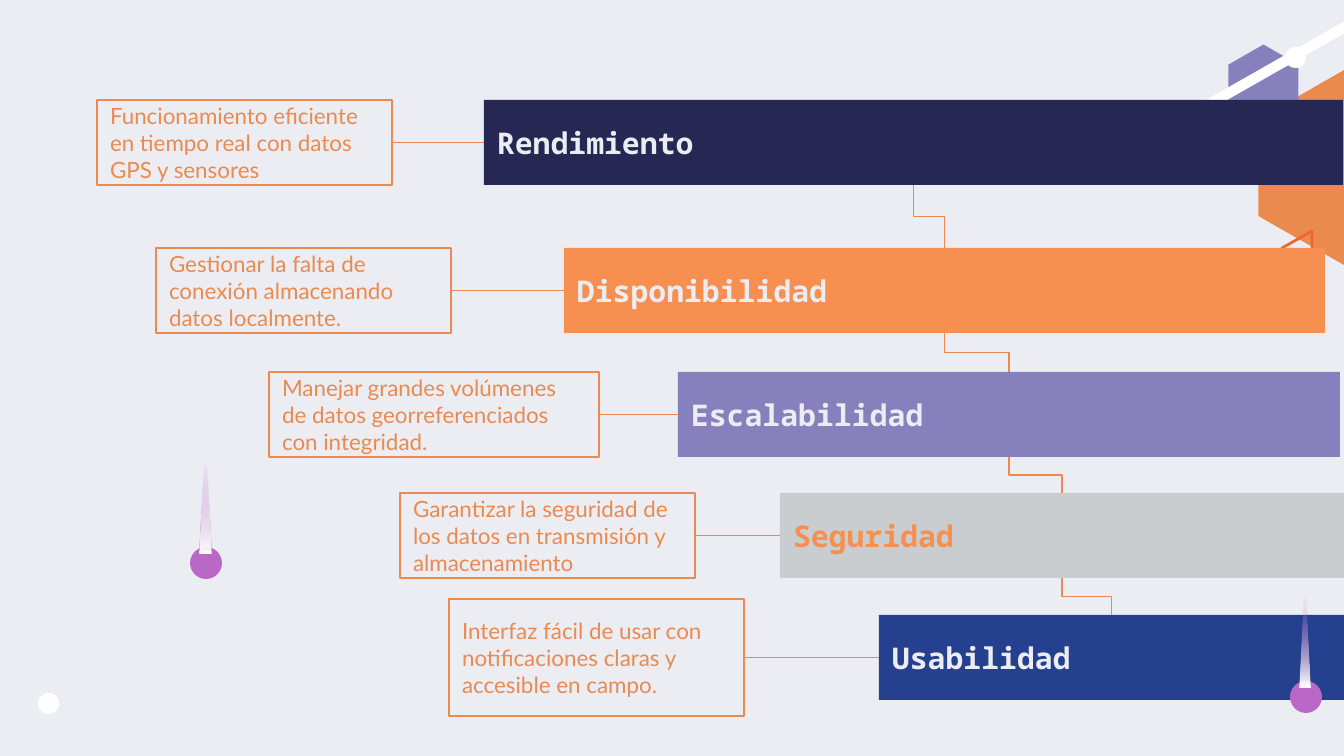
from dataclasses import dataclass
from itertools import pairwise

from lxml.etree import SubElement
from pptx import Presentation
from pptx.dml.color import RGBColor
from pptx.enum.shapes import MSO_CONNECTOR, MSO_SHAPE
from pptx.enum.text import MSO_ANCHOR, PP_ALIGN
from pptx.oxml.ns import qn
from pptx.shapes.autoshape import Shape
from pptx.shapes.connector import Connector
from pptx.slide import Slide
from pptx.util import Emu, Pt

EMU_PER_PX = 914400 / 134.4


def px(length: float) -> Emu:
    return Emu(round(length * EMU_PER_PX))


@dataclass(frozen=True)
class Theme:
    background: str = "ECEDF3"
    white: str = "FFFFFF"
    navy: str = "272753"
    orange: str = "F68F4F"
    soft_orange: str = "EA8A4F"
    deep_orange: str = "F1662D"
    purple: str = "8680BC"
    gray: str = "CACDCF"
    blue: str = "25408F"
    violet: str = "BA68C8"
    title_font: str = "Noto Sans Mono"
    note_font: str = "Lato"
    title_size: int = 16
    note_size: int = 12
    thin_line: float = 0.75
    thick_line: float = 1.5


THEME = Theme()


@dataclass(frozen=True)
class Box:
    left: int
    top: int
    width: int
    height: int

    @property
    def right(self) -> int:
        return self.left + self.width

    @property
    def bottom(self) -> int:
        return self.top + self.height

    @property
    def center_x(self) -> float:
        return self.left + self.width / 2

    @property
    def center_y(self) -> float:
        return self.top + self.height / 2


@dataclass(frozen=True)
class Requirement:
    title: str
    note: str
    bar: Box
    note_box: Box
    fill: str
    title_color: str = THEME.background


REQUIREMENTS = [
    Requirement("Rendimiento",
                "Funcionamiento eficiente en tiempo real con datos GPS y sensores",
                Box(484, 100, 859, 85), Box(97, 100, 295, 85), THEME.navy),
    Requirement("Disponibilidad",
                "Gestionar la falta de conexión almacenando datos localmente.",
                Box(564, 248, 761, 85), Box(156, 248, 295, 85), THEME.orange),
    Requirement("Escalabilidad",
                "Manejar grandes volúmenes de datos georreferenciados con integridad.",
                Box(678, 372, 662, 85), Box(269, 372, 330, 85), THEME.purple),
    Requirement("Seguridad",
                "Garantizar la seguridad de los datos en transmisión y almacenamiento",
                Box(780, 493, 564, 85), Box(400, 493, 295, 85), THEME.gray, THEME.orange),
    Requirement("Usabilidad",
                "Interfaz fácil de usar con notificaciones claras y accesible en campo.",
                Box(879, 615, 465, 85), Box(449, 599, 295, 117), THEME.blue),
]


def style_shape(shape: Shape, fill: str | None, line: str | None = None,
                line_width: float = THEME.thin_line) -> None:
    shape.shadow.inherit = False
    if fill:
        shape.fill.solid()
        shape.fill.fore_color.rgb = RGBColor.from_string(fill)
    else:
        shape.fill.background()
    if line:
        shape.line.color.rgb = RGBColor.from_string(line)
        shape.line.width = Pt(line_width)
    else:
        shape.line.fill.background()


def add_shape(slide: Slide, kind: MSO_SHAPE, box: Box, fill: str | None,
              line: str | None = None) -> Shape:
    shape = slide.shapes.add_shape(kind, px(box.left), px(box.top),
                                   px(box.width), px(box.height))
    style_shape(shape, fill, line)
    return shape


def add_polygon(slide: Slide, points: list[tuple[int, int]], fill: str | None,
                line: str | None = None) -> None:
    builder = slide.shapes.build_freeform(*points[0], scale=EMU_PER_PX)
    builder.add_line_segments(points[1:], close=True)
    style_shape(builder.convert_to_shape(), fill, line, THEME.thick_line)


def add_hexagon(slide: Slide, box: Box, fill: str) -> None:
    hexagon = add_shape(slide, MSO_SHAPE.HEXAGON, box, fill)
    hexagon.adjustments[0] = 0.286
    hexagon.rotation = 270


def write_text(shape: Shape, text: str, font_name: str, size: int, color: str,
               bold: bool = False) -> None:
    frame = shape.text_frame
    frame.word_wrap = True
    frame.vertical_anchor = MSO_ANCHOR.MIDDLE
    frame.margin_left = frame.margin_right = px(13)
    frame.margin_top = frame.margin_bottom = px(13)
    paragraph = frame.paragraphs[0]
    paragraph.alignment = PP_ALIGN.LEFT
    run = paragraph.add_run()
    run.text = text
    run.font.name = font_name
    run.font.size = Pt(size)
    run.font.bold = bold
    run.font.color.rgb = RGBColor.from_string(color)


def add_connector(slide: Slide, kind: MSO_CONNECTOR, start: tuple[float, float],
                  end: tuple[float, float]) -> Connector:
    connector = slide.shapes.add_connector(kind, px(start[0]), px(start[1]),
                                           px(end[0]), px(end[1]))
    connector.line.color.rgb = RGBColor.from_string(THEME.soft_orange)
    connector.line.width = Pt(THEME.thin_line)
    SubElement(connector._element.spPr, qn("a:effectLst"))
    return connector


def add_step(slide: Slide, upper: Box, lower: Box) -> None:
    """Join two bars with an elbow that leaves downwards: a quarter-turned connector."""
    middle_x = (upper.center_x + lower.center_x) / 2
    middle_y = (upper.bottom + lower.top) / 2
    half_run = (lower.center_x - upper.center_x) / 2
    half_drop = (lower.top - upper.bottom) / 2
    step = add_connector(slide, MSO_CONNECTOR.ELBOW,
                         (middle_x + half_drop, middle_y - half_run),
                         (middle_x - half_drop, middle_y + half_run))
    step._element.spPr.find(qn("a:xfrm")).set("rot", "16200000")


def add_pin(slide: Slide, left: int, top: int) -> None:
    """Draw a round head with a beam that fades upwards."""
    add_shape(slide, MSO_SHAPE.OVAL, Box(left, top, 32, 32), THEME.violet)
    beam = add_shape(slide, MSO_SHAPE.ISOSCELES_TRIANGLE,
                     Box(left + 10, top - 110, 11, 117), THEME.white)
    beam.fill.gradient()
    gradient = beam._element.spPr.find(qn("a:gradFill"))
    for child in list(gradient):
        gradient.remove(child)
    stops = SubElement(gradient, qn("a:gsLst"))
    for position, color, alpha in ((0, THEME.white, 100), (80, THEME.violet, 0),
                                   (100, THEME.violet, 0)):
        stop = SubElement(stops, qn("a:gs"), pos=str(position * 1000))
        stop_color = SubElement(stop, qn("a:srgbClr"), val=color)
        SubElement(stop_color, qn("a:alpha"), val=str(alpha * 1000))
    SubElement(gradient, qn("a:lin"), ang="16200000", scaled="0")


def main() -> None:
    presentation = Presentation()
    presentation.slide_width, presentation.slide_height = px(1344), px(756)
    slide = presentation.slides.add_slide(presentation.slide_layouts[6])
    slide.background.fill.solid()
    slide.background.fill.fore_color.rgb = RGBColor.from_string(THEME.background)

    add_hexagon(slide, Box(1247, 81, 196, 173), THEME.soft_orange)
    add_polygon(slide, [(1312, 231), (1282, 248), (1312, 265)], None, THEME.deep_orange)
    add_hexagon(slide, Box(1195, 78, 137, 70), THEME.purple)
    add_polygon(slide, [(1192, 108), (1403, -12), (1403, 0), (1192, 120)], THEME.white)

    for item in REQUIREMENTS:
        bar = add_shape(slide, MSO_SHAPE.RECTANGLE, item.bar, item.fill)
        write_text(bar, item.title, THEME.title_font, THEME.title_size,
                   item.title_color, bold=True)
        note = add_shape(slide, MSO_SHAPE.RECTANGLE, item.note_box, None, THEME.soft_orange)
        write_text(note, item.note, THEME.note_font, THEME.note_size, THEME.soft_orange)
        add_connector(slide, MSO_CONNECTOR.STRAIGHT, (item.bar.left, item.bar.center_y),
                      (item.note_box.right, item.bar.center_y))
    for upper, lower in pairwise(REQUIREMENTS):
        add_step(slide, upper.bar, lower.bar)

    for left, top in ((190, 547), (1290, 681)):
        add_pin(slide, left, top)
    for left, top in ((38, 693), (1285, 47)):
        add_shape(slide, MSO_SHAPE.OVAL, Box(left, top, 21, 21), THEME.white)
    presentation.save("out.pptx")


if __name__ == "__main__":
    main()
